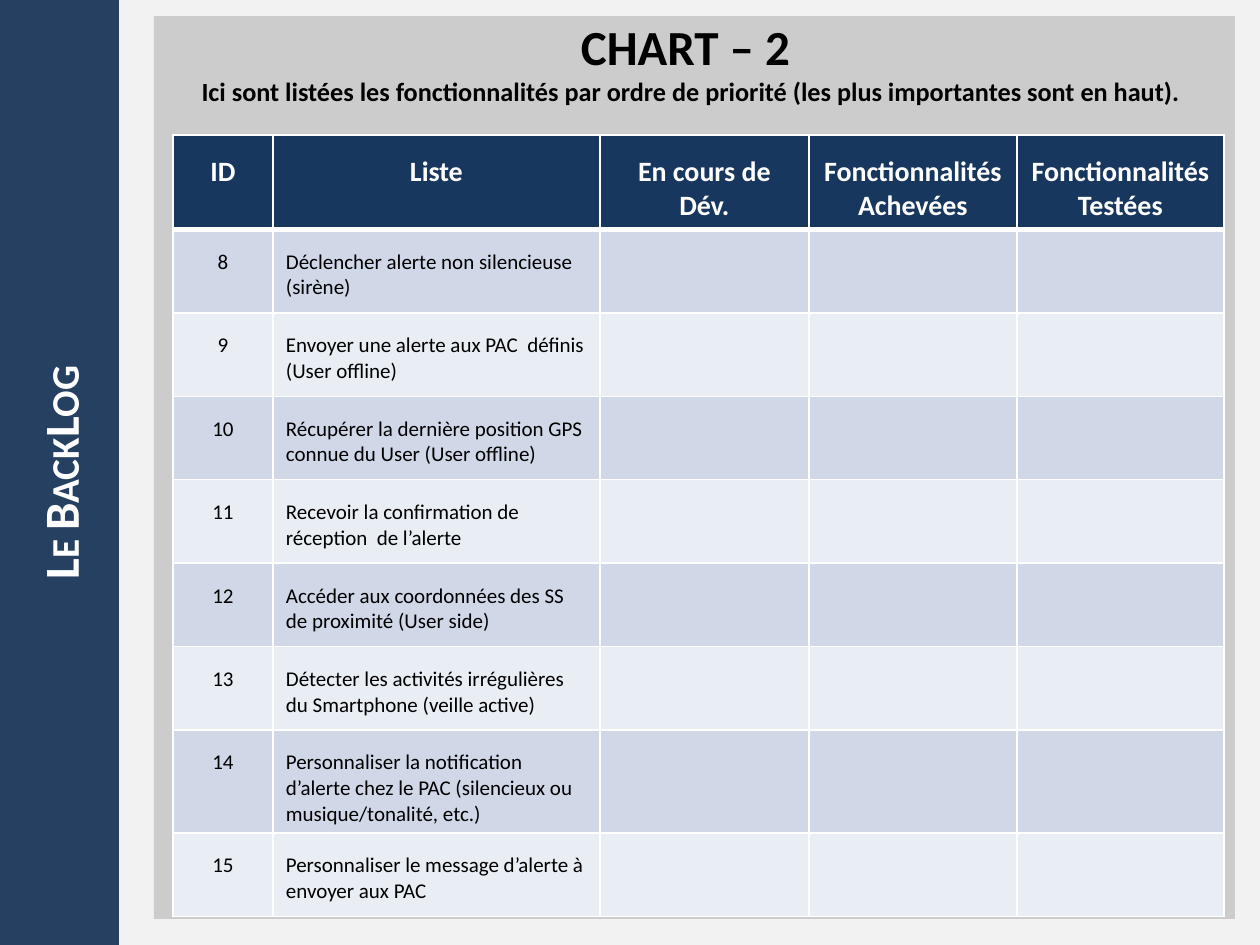
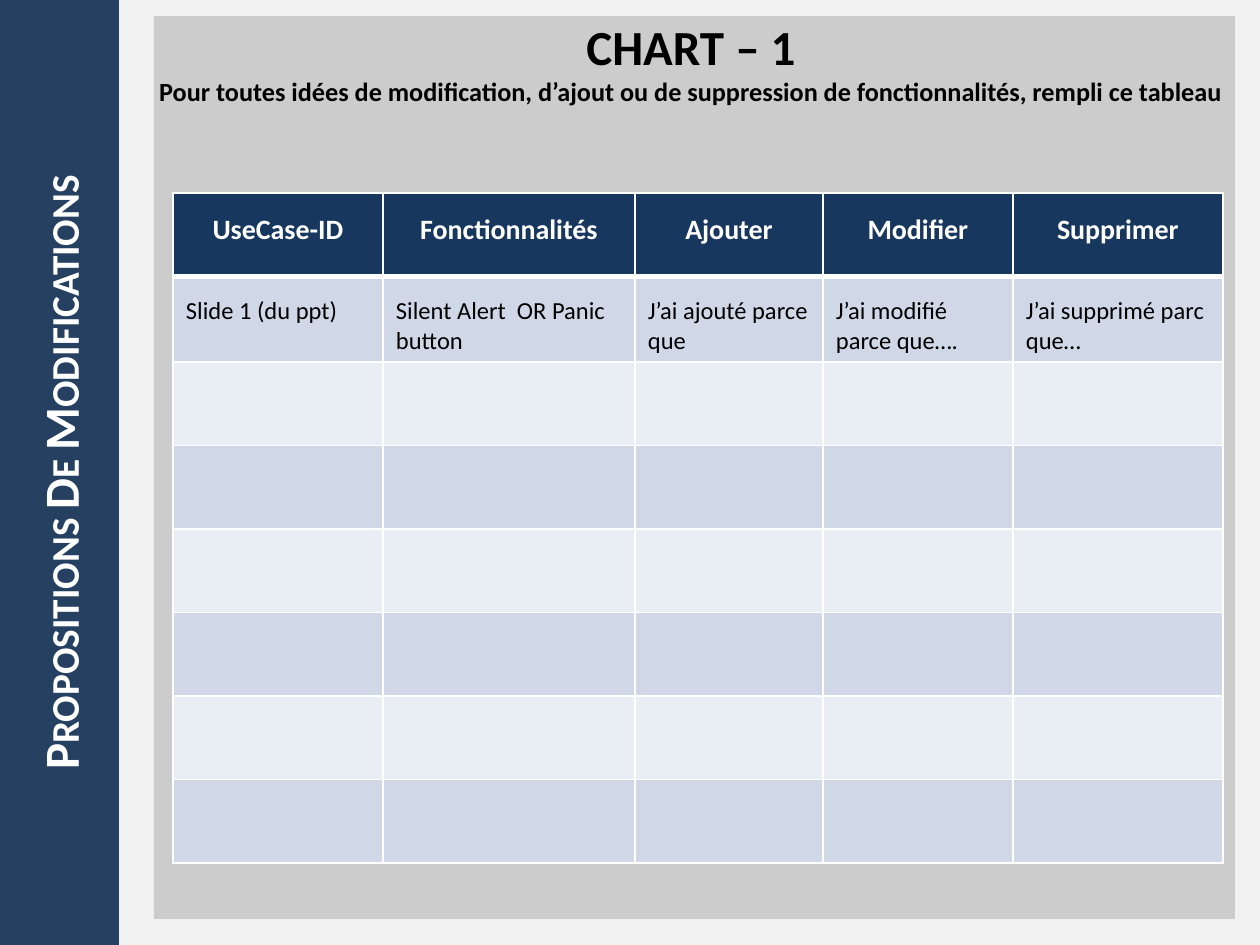
from lxml import etree
from pptx import Presentation
from pptx import util as u
from pptx.dml import color
from pptx.enum import shapes, text
from pptx.oxml import ns

DPI = 126
WHITE, BLACK = "FFFFFF", "000000"
PAGE, SIDE, PANEL, HEAD = "F2F2F2", "254061", "BFBFBF", "17375E"
BANDS = ("D0D8E8", "E9EDF4")
LEFT, MID = text.PP_ALIGN.LEFT, text.PP_ALIGN.CENTER
SIDES = ("L", "R", "T", "B")

BACKLOG = [
    ("ID", "Liste", "En cours de Dév.", "Fonctionnalités Achevées", "Fonctionnalités Testées"),
    ("8", "Déclencher alerte non silencieuse (sirène)"),
    ("9", "Envoyer une alerte aux PAC  définis (User offline)"),
    ("10", "Récupérer la dernière position GPS connue du User (User offline)"),
    ("11", "Recevoir la confirmation de réception  de l’alerte"),
    ("12", "Accéder aux coordonnées des SS de proximité (User side)"),
    ("13", "Détecter les activités irrégulières du Smartphone (veille active)"),
    ("14", "Personnaliser la notification d’alerte chez le PAC (silencieux ou musique/tonalité, etc.)"),
    ("15", "Personnaliser le message d’alerte à envoyer aux PAC"),
]
CHANGES = [
    ("UseCase-ID", "Fonctionnalités", "Ajouter", "Modifier", "Supprimer"),
    ("Slide 1 (du ppt)", "Silent Alert  OR Panic button", "J’ai ajouté parce que",
     "J’ai modifié parce que….", "J’ai supprimé parc que…"),
] + [()] * 6


def px(n):
    return u.Emu(round(n * 914400 / DPI))


def rgb(code):
    return color.RGBColor.from_string(code)


def paint(item, code):
    item.fill.solid()
    item.fill.fore_color.rgb = rgb(code)


def inset(item, left, top, right, bottom):
    sizes = {"margin_left": left, "margin_top": top,
             "margin_right": right, "margin_bottom": bottom}
    for name, size in sizes.items():
        setattr(item, name, px(size))


def write(para, words, size, ink, bold=True, align=MID):
    para.alignment = align
    run = para.add_run()
    run.text = words
    style = {"name": "Calibri", "size": u.Pt(size), "bold": bold}
    for name, value in style.items():
        setattr(run.font, name, value)
    run.font.color.rgb = rgb(ink)
    return run


def frame(shape, *edges):
    body = shape.text_frame
    inset(body, *edges)
    style = {"word_wrap": True, "auto_size": text.MSO_AUTO_SIZE.NONE,
             "vertical_anchor": text.MSO_ANCHOR.TOP}
    for name, value in style.items():
        setattr(body, name, value)
    return body


def add_side(slide, words):
    side = slide.shapes.add_shape(
        shapes.MSO_SHAPE.RECTANGLE, px(-5), px(0), px(124), px(945))
    side.shadow.inherit = False
    side.line.fill.background()
    paint(side, SIDE)
    body = frame(side, 35, 0, 0, 0)
    body._txBody.bodyPr.set("vert", "vert270")
    run = write(body.paragraphs[0], words, 28, WHITE)
    run._r.get_or_add_rPr().set("cap", "small")


def add_panel(slide, head, note):
    panel = slide.shapes.title
    place = {"left": 154, "top": 16, "width": 1081, "height": 903}
    for name, value in place.items():
        setattr(panel, name, px(value))
    paint(panel, PANEL)
    tint = panel._element.spPr.find(".//" + ns.qn("a:srgbClr"))
    etree.SubElement(tint, ns.qn("a:alpha"), val="74000")
    body = frame(panel, 5, 0, 12, 0)
    write(body.paragraphs[0], head, 28, BLACK)
    write(body.add_paragraph(), note, 15, BLACK)


def edge(cell, side, width):
    props = cell._tc.get_or_add_tcPr()
    line = etree.SubElement(props, ns.qn("a:ln" + side), w=str(u.Pt(width)))
    fill = etree.SubElement(line, ns.qn("a:solidFill"))
    etree.SubElement(fill, ns.qn("a:srgbClr"), val=WHITE)


def add_grid(slide, top, high, cols, rows, size, first):
    grid = slide.shapes.add_table(
        len(rows), len(cols), px(173), px(top), px(sum(cols)), px(high)).table
    for col, width in zip(grid.columns, cols):
        col.width = px(width)
    for r, row in enumerate(rows):
        thick = {0: "B", 1: "T"}.get(r)
        for c in range(len(cols)):
            cell = grid.cell(r, c)
            inset(cell, 13, 20, 13, 6)
            for side in SIDES:
                edge(cell, side, 3 if side == thick else 1)
            paint(cell, BANDS[(r - 1) % 2] if r else HEAD)
            if c >= len(row):
                continue
            para = cell.text_frame.paragraphs[0]
            if r == 0:
                write(para, row[c], 16, WHITE)
            else:
                write(para, row[c], size, BLACK, False, LEFT if c else first)


def add_page(deck, label, head, note, **grid):
    slide = deck.slides.add_slide(deck.slide_layouts[5])
    add_side(slide, label)
    add_panel(slide, head, note)
    add_grid(slide, **grid)


def main():
    deck = Presentation()
    deck.slide_width, deck.slide_height = px(1260), px(945)
    paint(deck.slide_master.background, PAGE)
    add_page(deck, "Le BackLog", "CHART – 2 ",
             "Ici sont listées les fonctionnalités par ordre de priorité "
             "(les plus importantes sont en haut).",
             top=135, high=751, cols=(100, 327, 209, 208, 207),
             rows=BACKLOG, size=12, first=MID)
    add_page(deck, "Propositions De Modifications", "CHART – 1",
             "Pour toutes idées de modification, d’ajout ou de suppression "
             "de fonctionnalités, rempli ce tableau",
             top=193, high=668, cols=(210, 252, 188, 190, 210),
             rows=CHANGES, size=14, first=LEFT)
    deck.save("out.pptx")


if __name__ == "__main__":
    main()
